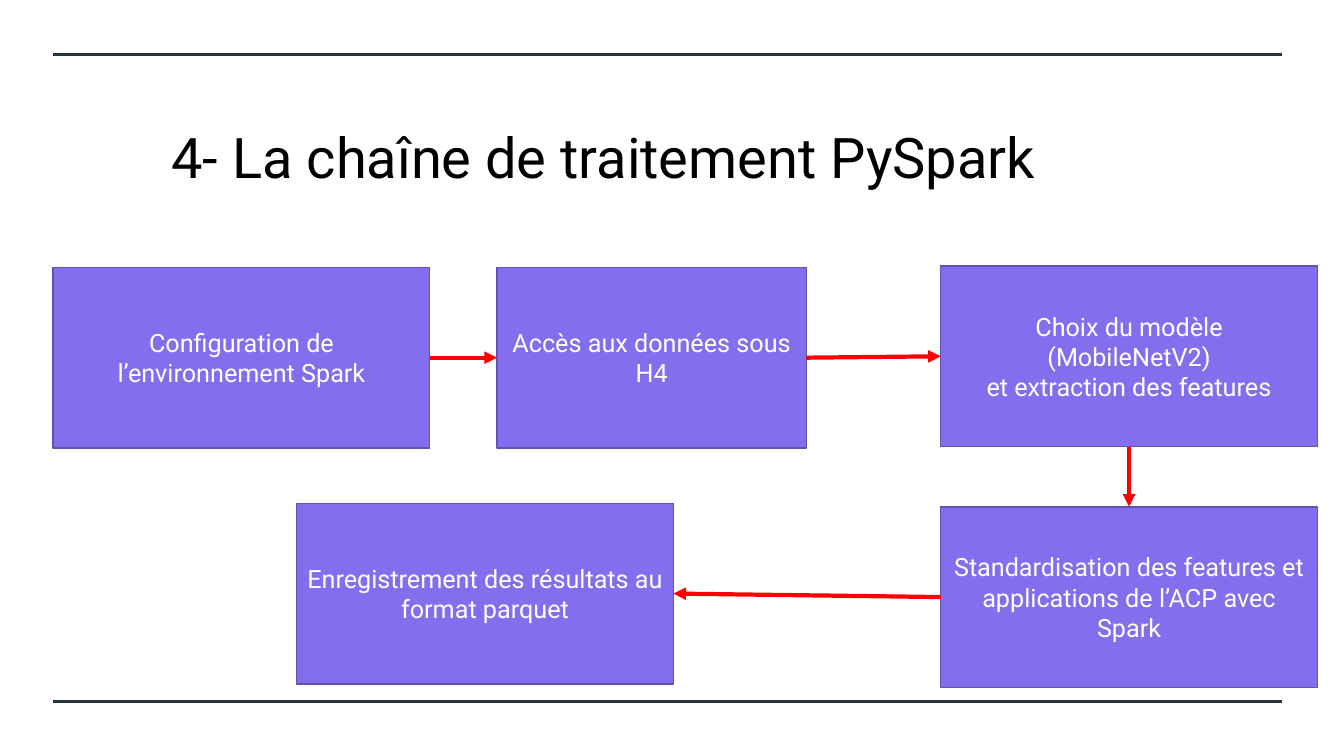
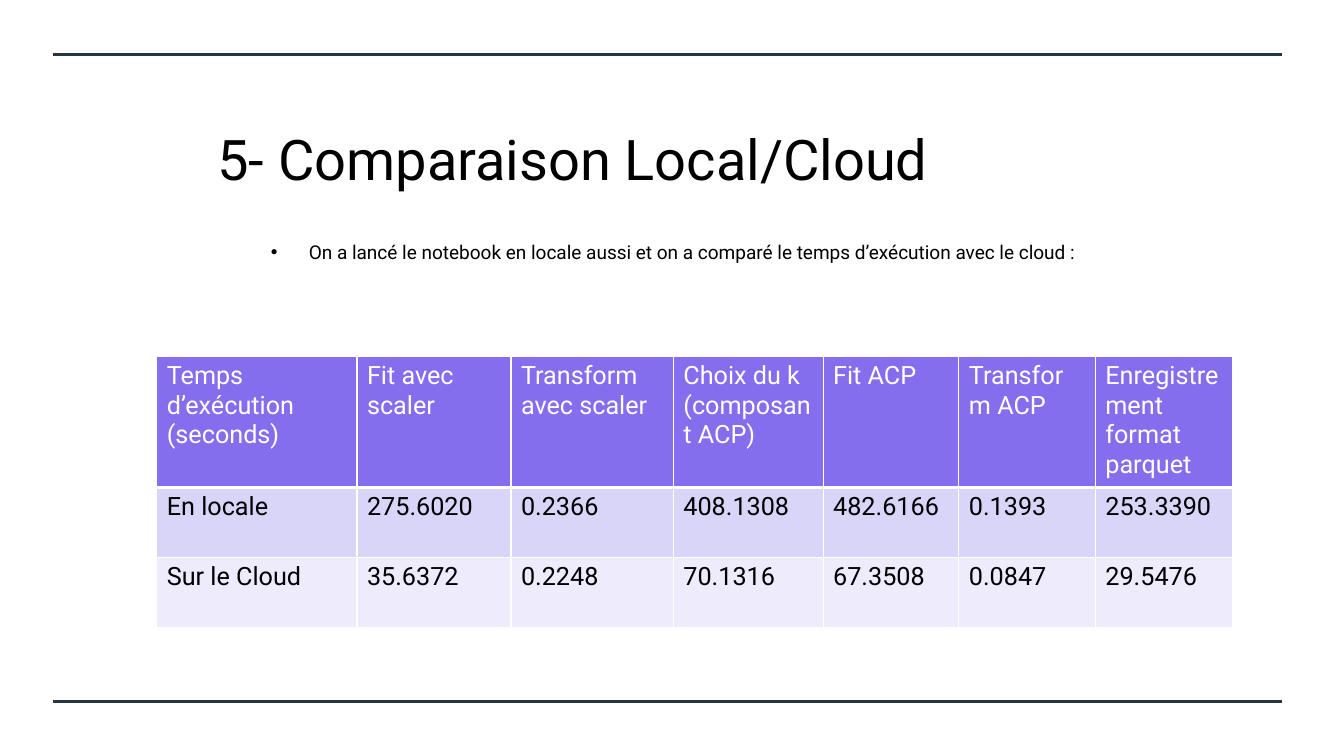
from collections import namedtuple
from dataclasses import dataclass

from lxml.etree import SubElement
from pptx import Presentation
from pptx.dml.color import RGBColor
from pptx.enum.shapes import MSO_CONNECTOR as Connector, MSO_SHAPE as Shape
from pptx.enum.text import MSO_ANCHOR as Anchor, PP_ALIGN as Align
from pptx.oxml.ns import qn
from pptx.util import Pt

Box = namedtuple("Box", "left top width height")
TOP, LEFT, BOTTOM, RIGHT = range(4)


@dataclass(frozen=True)
class Theme:
    font: str = "Roboto"
    black: str = "000000"
    white: str = "FFFFFF"
    rule: str = "243741"
    accent: str = "846EEE"
    outline: str = "6251B0"
    arrow: str = "FF0000"
    bands: tuple = ("D9D5F8", "EDEBFC")
    title_size: float = 40
    text_size: float = 18
    note_size: float = 13.6


THEME = Theme()
SLIDE = Box(0, 0, 960, 540)
RULES = Box(38, 39, 878, 462)

STEPS = [  # place inside the chain, then one text per paragraph
    (Box(0, 1, 269, 129), ["Configuration de l’environnement Spark"]),
    (Box(317, 1, 221, 129), ["Accès aux données sous H4"]),
    (Box(634, 0, 269, 129), ["Choix du modèle (MobileNetV2)", "et extraction des features"]),
    (Box(634, 172, 269, 129),
     ["Standardisation des features et applications de l’ACP avec Spark"]),
    (Box(174, 169.5, 269, 129), ["Enregistrement des résultats au format parquet"]),
]
LINKS = [(RIGHT, LEFT), (RIGHT, LEFT), (BOTTOM, TOP), (LEFT, RIGHT)]

COLUMN_WIDTHS = [143, 110, 116, 107, 97, 97.5, 98]
ROW_HEIGHTS = [93, 50, 50]
TIMINGS = [
    ["Temps d’exécution\n(seconds)", "Fit avec scaler", "Transform avec scaler",
     "Choix du k (composant ACP)", "Fit ACP", "Transform ACP",
     "Enregistrement format parquet"],
    ["En locale", "275.6020", "0.2366", "408.1308", "482.6166", "0.1393", "253.3390"],
    ["Sur le Cloud", "35.6372", "0.2248", "70.1316", "67.3508", "0.0847", "29.5476"],
]


def rgb(color):
    return RGBColor.from_string(color)


def points(*lengths):
    return [Pt(length) for length in lengths]


def write(frame, texts, size, color, align=Align.LEFT):
    """Fill the frame with one paragraph per text and return the paragraphs."""
    frame.word_wrap = True
    for number, text in enumerate(texts):
        paragraph = frame.add_paragraph() if number else frame.paragraphs[0]
        paragraph.alignment = align
        run = paragraph.add_run()
        run.text = text
        run.font.name, run.font.size = THEME.font, Pt(size)
        run.font.color.rgb = rgb(color)
    return frame.paragraphs


def add_line(slide, start, end, color, width):
    line = slide.shapes.add_connector(Connector.STRAIGHT, *points(*start, *end))
    line.line.color.rgb = rgb(color)
    line.line.width = Pt(width)
    SubElement(line._element.spPr, qn("a:effectLst"))
    return line


def add_framed_slide(deck, title, box):
    """Add a slide with the two rules and its title in the given box."""
    slide = deck.slides.add_slide(deck.slide_layouts[6])
    for y in (RULES.top, RULES.top + RULES.height):
        add_line(slide, (RULES.left, y), (RULES.left + RULES.width, y), THEME.rule, 2.25)
    frame = slide.shapes.add_textbox(*points(*box)).text_frame
    frame.vertical_anchor = Anchor.MIDDLE
    frame.margin_top = Pt(6)
    write(frame, [title], THEME.title_size, THEME.black, Align.CENTER)
    return slide


def add_step(slide, box, texts):
    step = slide.shapes.add_shape(Shape.RECTANGLE, *points(*box))
    step.shadow.inherit = False
    step.fill.solid()
    step.fill.fore_color.rgb = rgb(THEME.accent)
    step.line.color.rgb = rgb(THEME.outline)
    step.line.width = Pt(1)
    step.text_frame.vertical_anchor = Anchor.MIDDLE
    write(step.text_frame, texts, THEME.text_size, THEME.white, Align.CENTER)
    return step


def add_chain(slide, box):
    """Draw the steps and the arrows that lead from each one to the next."""
    steps = [add_step(slide, place._replace(left=box.left + place.left,
                                            top=box.top + place.top), texts)
             for place, texts in STEPS]
    for source, target, (leave, enter) in zip(steps, steps[1:], LINKS):
        arrow = add_line(slide, (0, 0), (0, 0), THEME.arrow, 3)
        arrow.begin_connect(source, leave)
        arrow.end_connect(target, enter)
        SubElement(arrow.line._get_or_add_ln(), qn("a:tailEnd"), type="triangle")


def add_bullet_note(slide, box, text):
    frame = slide.shapes.add_textbox(*points(*box)).text_frame
    for paragraph in write(frame, [text], THEME.note_size, THEME.black):
        paragraph.line_spacing = 0.9
        properties = paragraph._p.get_or_add_pPr()
        properties.set("marL", str(Pt(27)))
        properties.set("indent", str(-Pt(27)))
        SubElement(properties, qn("a:buFont"), typeface="Arial")
        SubElement(properties, qn("a:buChar"), char="•")


def add_borders(cell, widths):
    """Draw white borders, given as widths by side."""
    properties = cell._tc.get_or_add_tcPr()
    for side, width in widths.items():
        border = SubElement(properties, qn(f"a:ln{side}"), w=str(Pt(width)))
        SubElement(SubElement(border, qn("a:solidFill")), qn("a:srgbClr"), val=THEME.white)


def add_timings(slide, box):
    table = slide.shapes.add_table(len(TIMINGS), len(COLUMN_WIDTHS), *points(*box)).table
    for column, width in zip(table.columns, COLUMN_WIDTHS):
        column.width = Pt(width)
    for row, height in zip(table.rows, ROW_HEIGHTS):
        row.height = Pt(height)
    for r, texts in enumerate(TIMINGS):
        fill = (THEME.accent, *THEME.bands)[r]
        color = THEME.black if r else THEME.white
        for c, text in enumerate(texts):
            cell = table.cell(r, c)
            add_borders(cell, {"L": 1, "R": 1, "T": 3 if r == 1 else 1, "B": 1 if r else 3})
            cell.fill.solid()
            cell.fill.fore_color.rgb = rgb(fill)
            write(cell.text_frame, text.split("\n"), THEME.text_size, color)


def add_pipeline_slide(deck):
    slide = add_framed_slide(deck, "4- La chaîne de traitement PySpark", Box(38, 77, 786, 66))
    add_chain(slide, Box(38, 190, 903, 301))


def add_comparison_slide(deck):
    slide = add_framed_slide(deck, "5- Comparaison Local/Cloud", Box(38, 77, 742, 69))
    add_bullet_note(slide, Box(186.5, 170, 592.5, 34),
                    "On a lancé le notebook en locale aussi et on a comparé "
                    "le temps d’exécution avec le cloud :")
    add_timings(slide, Box(112, 254.5, sum(COLUMN_WIDTHS), sum(ROW_HEIGHTS)))


def main():
    deck = Presentation()
    deck.slide_width, deck.slide_height = points(SLIDE.width, SLIDE.height)
    add_pipeline_slide(deck)
    add_comparison_slide(deck)
    deck.save("out.pptx")


if __name__ == "__main__":
    main()
